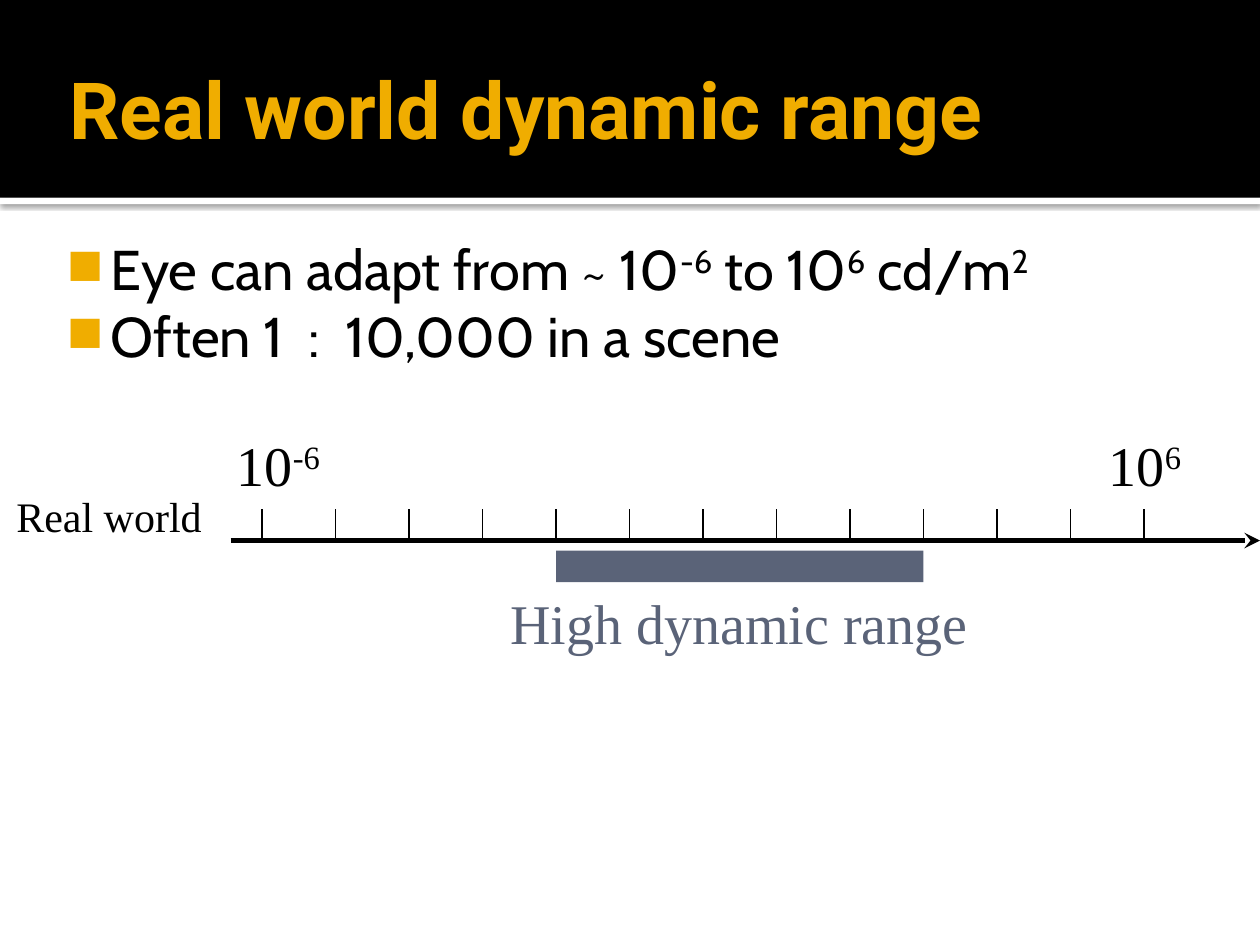
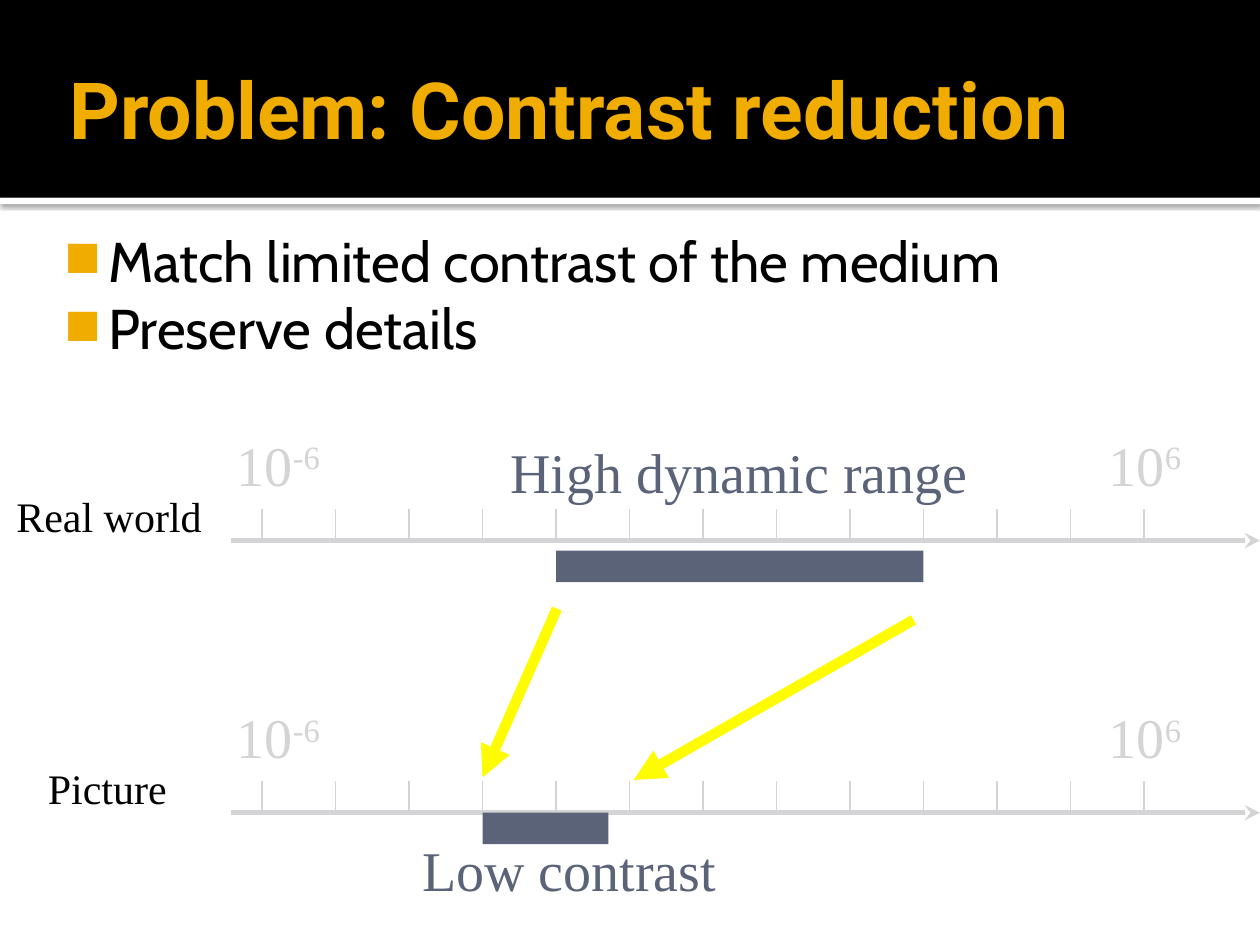
from lxml import etree
from pptx import Presentation
from pptx.dml.color import RGBColor
from pptx.enum.shapes import MSO_CONNECTOR as Connector, MSO_SHAPE as Shape
from pptx.enum.text import MSO_ANCHOR as Anchor, PP_ALIGN as Align
from pptx.oxml.ns import qn
from pptx.util import Inches, Pt

BLACK, WHITE, GOLD = "000000", "FFFFFF", "F0AD00"
SLATE, PALE, YELLOW = "5A6378", "D4D4D6", "FFFB00"
DIAGRAM_FONT = "Times New Roman"

AXIS_LEFT, AXIS_RIGHT = 1.83, 10
FIRST_TICK, LAST_TICK, TICK_COUNT = 2.08, 9.08, 13
TICK_GAP = (LAST_TICK - FIRST_TICK) / (TICK_COUNT - 1)
TICK_HEIGHT = BAR_HEIGHT = 0.25
REAL_AXIS, PICTURE_AXIS = 4.29, 6.45


def tick_x(number):
    return FIRST_TICK + number * TICK_GAP


HIGH_BAR = (tick_x(4), REAL_AXIS + 0.08, 5 * TICK_GAP, BAR_HEIGHT)
LOW_BAR = (tick_x(3), PICTURE_AXIS, 1, BAR_HEIGHT)
ENDS = [(1.83, 0.81, "-6"), (8.75, 0.71, "6")]
REAL_ROW = {"name": "Real world", "left": 0.08, "width": 1.59, "axis": REAL_AXIS}
PICTURE_ROW = {"name": "Picture", "left": 0.33, "width": 1.06, "axis": PICTURE_AXIS}

SLIDES = [
    {
        "title": "Real world dynamic range",
        "bullets": [
            [("Eye can adapt from ~ 10", 0), ("-6", 30), (" to 10", 0),
             ("6", 30), (" cd/m", 0), ("2", 30)],
            [("Often 1  :  10,000 in a scene", 0)],
        ],
        "bullets_at": (0.35, 1.81, 9.2, 5.17),
        "scale_color": BLACK,
        "rows": [REAL_ROW],
        "arrows": [],
        "bars": [HIGH_BAR],
        "captions": [("High dynamic range", (4, 4.62, 3.74, 0.6))],
    },
    {
        "title": "Problem: Contrast reduction",
        "bullets": [
            [("Match limited contrast of the medium", 0)],
            [("Preserve details", 0)],
        ],
        "bullets_at": (0.33, 1.75, 9.2, 5.5),
        "scale_color": PALE,
        "rows": [REAL_ROW, PICTURE_ROW],
        "arrows": [((7.25, 4.92), (5.03, 6.19)), ((4.42, 4.83), (3.83, 6.17))],
        "bars": [HIGH_BAR, LOW_BAR],
        "captions": [("Low contrast", (3.3, 6.58, 2.45, 0.6)),
                     ("High dynamic range", (4, 3.42, 3.74, 0.6))],
    },
]


def color(value):
    return RGBColor.from_string(value)


def apply(target, formats):
    for key, value in formats.items():
        setattr(target, key, value)


def add_element(parent, tag, **attributes):
    return etree.SubElement(parent, qn(tag), attributes)


def set_frame(frame, **formats):
    margins = dict.fromkeys(
        ("margin_left", "margin_top", "margin_right", "margin_bottom"), Inches(0.05))
    apply(frame, {**margins, **formats})


def write_runs(paragraph, parts, font, size, ink, bold=False):
    for text, raised in parts:
        run = paragraph.add_run()
        run.text = text
        apply(run.font, {"name": font, "size": Pt(size), "bold": bold})
        run.font.color.rgb = color(ink)
        if raised:
            run.font._element.set("baseline", str(raised * 1000))


def add_label(slide, parts, box, size, ink):
    frame = slide.shapes.add_textbox(*map(Inches, box)).text_frame
    set_frame(frame, word_wrap=False)
    write_runs(frame.paragraphs[0], parts, DIAGRAM_FONT, size, ink)


def add_block(slide, box, fill):
    block = slide.shapes.add_shape(Shape.RECTANGLE, *map(Inches, box))
    block.shadow.inherit = False
    block.fill.solid()
    block.fill.fore_color.rgb = color(fill)
    block.line.fill.background()
    return block


def add_line(slide, start, end, ink, width, head=None):
    line = slide.shapes.add_connector(
        Connector.STRAIGHT, *map(Inches, (*start, *end)))
    line.line.color.rgb = color(ink)
    line.line.width = Pt(width)
    if head:
        add_element(line.line._get_or_add_ln(), "a:tailEnd", type=head)
    add_element(line._element.spPr, "a:effectLst")


def add_header_bands(slide):
    strip = add_block(slide, (0, 1.57, 10, 0.05), WHITE)
    effects = strip._element.spPr.find(qn("a:effectLst"))
    shadow = add_element(effects, "a:outerShdw", blurRad=str(Pt(3)),
                         dist=str(Pt(0.8)), dir="5400000", rotWithShape="0")
    shade = add_element(shadow, "a:srgbClr", val=BLACK)
    add_element(shade, "a:alpha", val="60000")
    band = add_block(slide, (0, 0, 10, 1.57), BLACK)
    layout_tree = slide.slide_layout.shapes._spTree
    for position, part in enumerate((strip, band), 2):
        layout_tree.insert(position, part._element)


def add_title(slide, text):
    title = slide.shapes.title
    places = zip(("left", "top", "width", "height"), map(Inches, (0.5, 0.17, 9, 1.37)))
    apply(title, dict(places))
    set_frame(title.text_frame, word_wrap=True, vertical_anchor=Anchor.MIDDLE)
    heading = title.text_frame.paragraphs[0]
    heading.alignment = Align.LEFT
    write_runs(heading, [(text, 0)], "Roboto", 45, GOLD, bold=True)


def add_bullets(slide, bullets, box):
    frame = slide.shapes.add_textbox(*map(Inches, box)).text_frame
    set_frame(frame, word_wrap=True)
    for number, parts in enumerate(bullets):
        paragraph = frame.add_paragraph() if number else frame.paragraphs[0]
        properties = paragraph._p.get_or_add_pPr()
        properties.set("marL", str(Inches(0.48)))
        properties.set("indent", str(Inches(-0.35)))
        add_element(add_element(properties, "a:buClr"), "a:srgbClr", val=GOLD)
        add_element(properties, "a:buSzPct", val="80000")
        add_element(properties, "a:buChar", char="◼")
        write_runs(paragraph, parts, "Cabin", 32, BLACK)


def add_scale(slide, row, ink):
    axis = row["axis"]
    for left, width, power in ENDS:
        add_label(slide, [("10", 0), (power, 30)],
                  (left, axis - 0.92, width, 0.6), 32, ink)
    for number in range(TICK_COUNT):
        x = tick_x(number)
        add_line(slide, (x, axis - TICK_HEIGHT), (x, axis), ink, 1)
    add_line(slide, (AXIS_LEFT, axis), (AXIS_RIGHT, axis), ink, 3, "stealth")
    add_label(slide, [(row["name"], 0)],
              (row["left"], axis - 0.45, row["width"], 0.46), 24, BLACK)


def main():
    deck = Presentation()
    deck.slide_width, deck.slide_height = Inches(10), Inches(7.5)
    title_only = deck.slide_layouts[5]
    for number, content in enumerate(SLIDES):
        slide = deck.slides.add_slide(title_only)
        if number == 0:
            add_header_bands(slide)
        add_title(slide, content["title"])
        add_bullets(slide, content["bullets"], content["bullets_at"])
        for row in content["rows"]:
            add_scale(slide, row, content["scale_color"])
        for start, end in content["arrows"]:
            add_line(slide, start, end, YELLOW, 6, "triangle")
        for bar in content["bars"]:
            add_block(slide, bar, SLATE)
        for text, box in content["captions"]:
            add_label(slide, [(text, 0)], box, 32, SLATE)
    deck.save("out.pptx")


if __name__ == "__main__":
    main()
